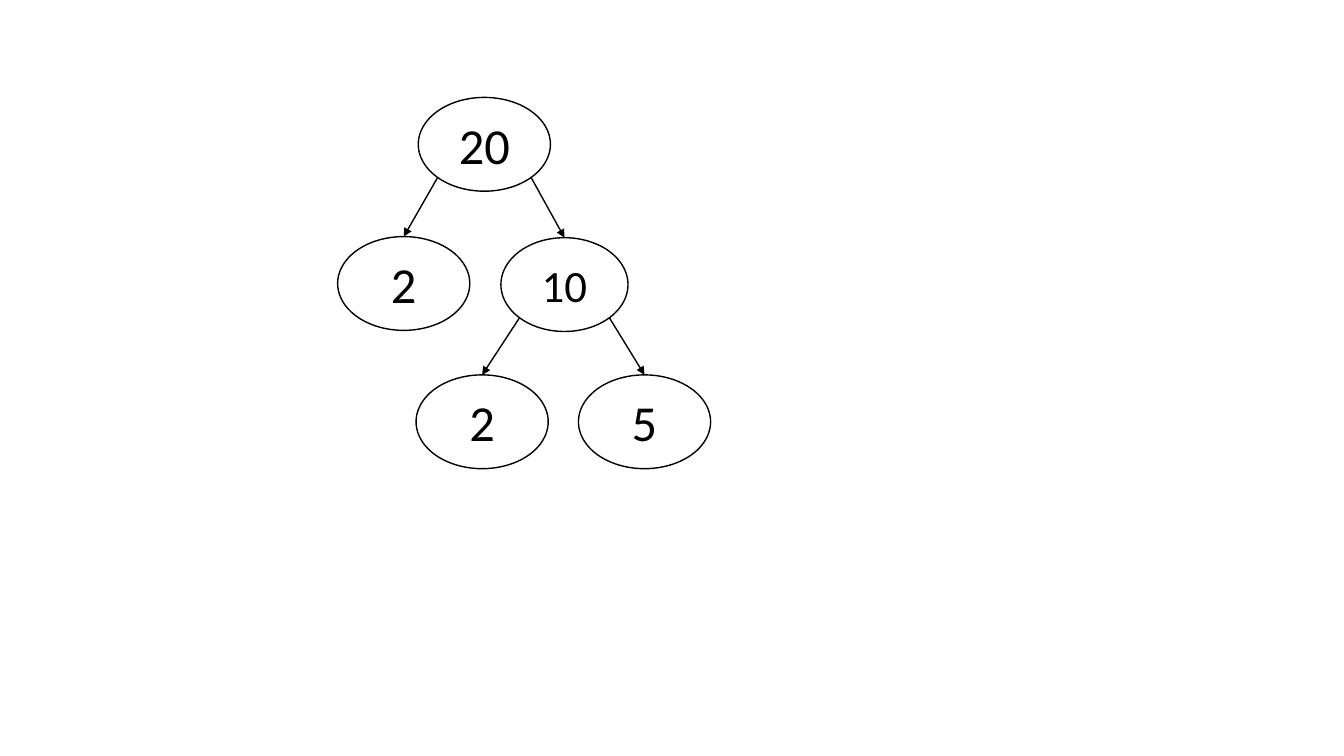
import collections

import pptx
import pptx.dml.color
import pptx.enum.shapes
import pptx.enum.text
import pptx.oxml.ns
import pptx.util
from lxml import etree

Pt = pptx.util.Pt
Box = collections.namedtuple("Box", "left top")
Node = collections.namedtuple("Node", "label center top width size parent")

NODE_HEIGHT = 67
DIAGONAL = 0.5 ** 0.5
FACTOR_TREE = {
    "root": Node("20", 104.8, 0, 94.4, 36, None),
    "left": Node("2", 47.2, 99.4, 94.4, 36, "root"),
    "right": Node("10", 162, 100.2, 90.8, 32, "root"),
    "right left": Node("2", 103.2, 198.2, 94.4, 36, "right"),
    "right right": Node("5", 219.2, 198.2, 94.4, 36, "right"),
}


def color(value):
    return pptx.dml.color.RGBColor.from_string(value)


def add_node(page, box, node):
    oval = page.shapes.add_shape(
        pptx.enum.shapes.MSO_SHAPE.OVAL,
        Pt(box.left + node.center - node.width / 2),
        Pt(box.top + node.top),
        Pt(node.width),
        Pt(NODE_HEIGHT),
    )
    oval.shadow.inherit = False
    oval.fill.solid()
    oval.fill.fore_color.rgb = color("FFFFFF")
    oval.line.color.rgb = color("000000")
    oval.line.width = Pt(1)
    frame = oval.text_frame
    frame.text = node.label
    frame.vertical_anchor = pptx.enum.text.MSO_ANCHOR.MIDDLE
    para = frame.paragraphs[0]
    para.alignment = pptx.enum.text.PP_ALIGN.CENTER
    font = para.runs[0].font
    font.name = "Calibri"
    font.size = Pt(node.size)
    font.color.rgb = color("000000")
    return oval


def add_branch(page, box, parent, child, child_oval):
    side = 1 if child.center > parent.center else -1
    arrow = page.shapes.add_connector(
        pptx.enum.shapes.MSO_CONNECTOR.STRAIGHT,
        Pt(box.left + parent.center + side * DIAGONAL * parent.width / 2),
        Pt(box.top + parent.top + (1 + DIAGONAL) * NODE_HEIGHT / 2),
        Pt(box.left + child.center),
        Pt(box.top + child.top),
    )
    arrow.end_connect(child_oval, 0)
    arrow.line.color.rgb = color("000000")
    arrow.line.width = Pt(1)
    qn = pptx.oxml.ns.qn
    etree.SubElement(arrow.line._get_or_add_ln(), qn("a:tailEnd"), type="triangle")
    etree.SubElement(arrow._element.spPr, qn("a:effectLst"))


def add_tree(page, box, tree):
    ovals = {name: add_node(page, box, node) for name, node in tree.items()}
    for name, node in tree.items():
        if node.parent:
            add_branch(page, box, tree[node.parent], node, ovals[name])


def main():
    deck = pptx.Presentation()
    deck.slide_width = Pt(960)
    deck.slide_height = Pt(540)
    page = deck.slides.add_slide(deck.slide_layouts[6])
    add_tree(page, Box(241.2, 69.6), FACTOR_TREE)
    deck.save("out.pptx")


if __name__ == "__main__":
    main()
